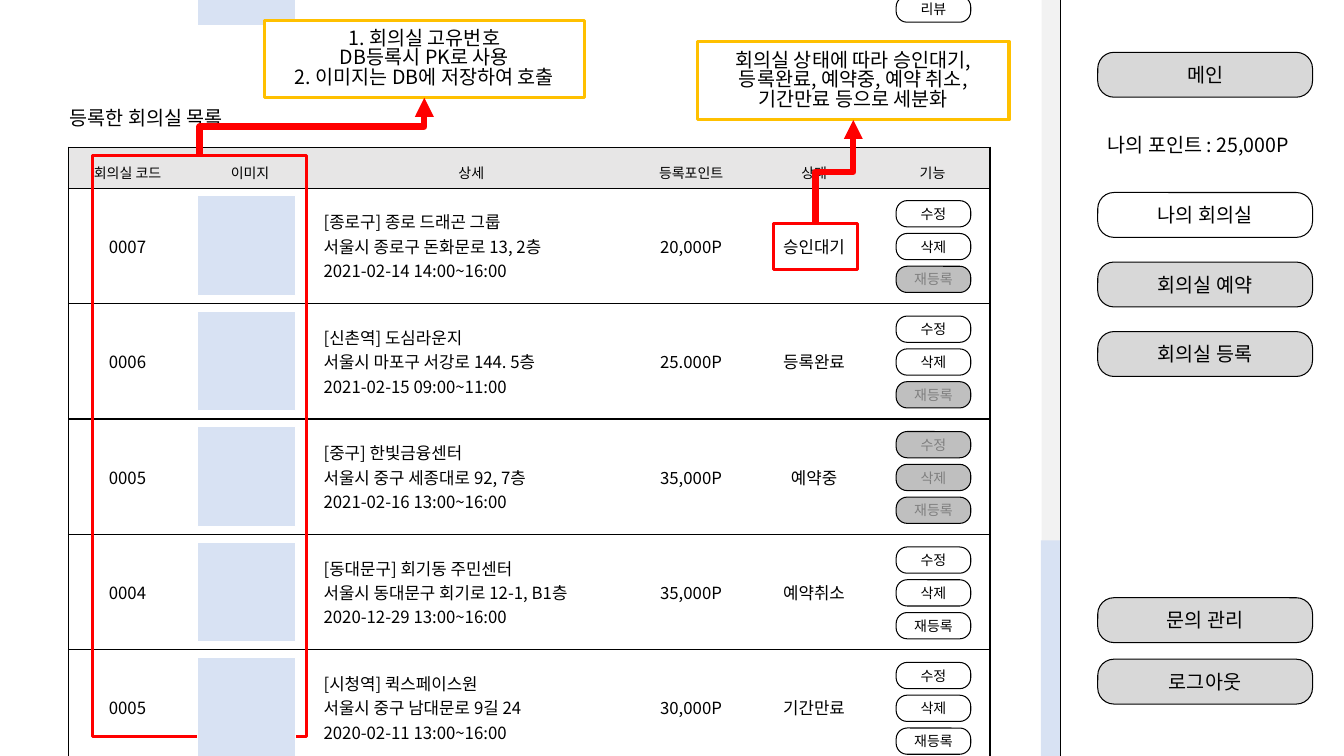
import dataclasses
import pptx
import pptx.dml.color
import pptx.enum.shapes
import pptx.enum.text
import pptx.oxml
import pptx.oxml.ns
import pptx.util

Shape = pptx.enum.shapes.MSO_SHAPE
Link = pptx.enum.shapes.MSO_CONNECTOR
Align = pptx.enum.text.PP_ALIGN
Anchor = pptx.enum.text.MSO_ANCHOR
WIDE, HIGH = pptx.util.Inches(13.333), pptx.util.Inches(7.5)


@dataclasses.dataclass(frozen=True)
class Theme:
    """Colours, fonts and type sizes of the slide."""
    black: str = "000000"
    white: str = "FFFFFF"
    menu: str = "D8D8D8"
    off: str = "BFBFBF"
    dim: str = "7F7F7F"
    pale: str = "D8E2F3"
    track: str = "F2F2F2"
    head: str = "E7E6E6"
    red: str = "FF0000"
    gold: str = "FFC000"
    font: str = "Noto Sans CJK KR"
    alt: str = "Arial"
    large: int = 14
    body: int = 12
    small: int = 10
    thin: float = 0.75
    thick: float = 2.25
    arrow: float = 4.5


LOOK = Theme()
PITCH = 15.27
COLS = [8.78, 9.45, 23.48, 9.23, 9.08, 8.55]
HEADS = ["회의실 코드", "이미지", "상세", "등록포인트", "상태", "기능"]
ACTS = ["수정", "삭제", "재등록"]
ROOMS = [
    ("0007", "[종로구] 종로 드래곤 그룹\n서울시 종로구 돈화문로 13, 2층\n2021-02-14 14:00~16:00",
     "20,000P", "승인대기", [1, 1, 0]),
    ("0006", "[신촌역] 도심라운지\n서울시 마포구 서강로 144. 5층\n2021-02-15 09:00~11:00",
     "25.000P", "등록완료", [1, 1, 0]),
    ("0005", "[중구] 한빛금융센터\n서울시 중구 세종대로 92, 7층\n2021-02-16 13:00~16:00",
     "35,000P", "예약중", [0, 0, 0]),
    ("0004", "[동대문구] 회기동 주민센터\n서울시 동대문구 회기로 12-1, B1층\n2020-12-29 13:00~16:00",
     "35,000P", "예약취소", [1, 1, 1]),
    ("0005", "[시청역] 퀵스페이스원\n서울시 중구 남대문로 9길 24\n2020-02-11 13:00~16:00",
     "30,000P", "기간만료", [1, 1, 1]),
]
MENU = [("메인", 6.93, LOOK.menu), ("나의 회의실", 25.47, LOOK.white),
        ("회의실 예약", 34.67, LOOK.menu), ("회의실 등록", 43.87, LOOK.menu),
        ("문의 관리", 79.07, LOOK.menu), ("로그아웃", 87.2, LOOK.menu)]


def hue(code):
    """Return the colour for a hex code."""
    return pptx.dml.color.RGBColor.from_string(code)


def across(share):
    """Return a percentage of the slide width."""
    return int(WIDE * share / 100)


def down(share):
    """Return a percentage of the slide height."""
    return int(HIGH * share / 100)


def place(x, y, w, h):
    """Return a rectangle given in percent of the slide."""
    return across(x), down(y), across(w), down(h)


def node(tag, **attrs):
    """Make a drawing element."""
    item = pptx.oxml.parse_xml(f"<a:{tag} {pptx.oxml.ns.nsdecls('a')}/>")
    for key, value in attrs.items():
        item.set(key, value)
    return item


def write(frame, text, size, align=Align.CENTER, color=LOOK.black, font=LOOK.font, space=None):
    """Fill a text frame with evenly styled paragraphs."""
    frame.text = text
    frame.word_wrap = True
    for para in frame.paragraphs:
        para.alignment = align
        para.line_spacing = space
        para.font.size = pptx.util.Pt(size)
        para.font.name = font
        para.font.color.rgb = hue(color)
        props = para._p.pPr.find(pptx.oxml.ns.qn("a:defRPr"))
        props.append(node("ea", typeface=LOOK.font))


def box(slide, area, fill=None, line=None, width=1, kind=Shape.RECTANGLE):
    """Draw a plain shape."""
    item = slide.shapes.add_shape(kind, *place(*area))
    item.shadow.inherit = False
    if fill:
        item.fill.solid()
        item.fill.fore_color.rgb = hue(fill)
    else:
        item.fill.background()
    if line:
        item.line.color.rgb = hue(line)
        item.line.width = pptx.util.Pt(width)
    else:
        item.line.fill.background()
    return item


def pill(slide, area, text, size, fill, color=LOOK.black, curve=0.42):
    """Draw a rounded button."""
    item = box(slide, area, fill, LOOK.black, LOOK.thin, Shape.ROUNDED_RECTANGLE)
    item.adjustments[0] = curve
    item.text_frame.vertical_anchor = Anchor.MIDDLE
    write(item.text_frame, text, size, color=color)


def act(slide, top, text, live=True):
    """Draw a small row button, greyed when not live."""
    fill, color = (LOOK.white, LOOK.black) if live else (LOOK.off, LOOK.dim)
    pill(slide, (66.68, top, 5.55, 3.47), text, LOOK.small, fill, color)


def photo(slide, top):
    """Draw the picture slot of a room."""
    box(slide, (14.7, top, 7.28, 13.2), LOOK.pale, LOOK.white)


def room(slide, index):
    """Draw the picture slot and buttons of one room."""
    top = 25.87 + PITCH * index
    photo(slide, top)
    for step, (text, live) in enumerate(zip(ACTS, ROOMS[index][-1])):
        act(slide, top + 0.67 + 4.34 * step, text, live)


def note(slide, area, text):
    """Draw a gold callout."""
    item = box(slide, area, LOOK.white, LOOK.gold, LOOK.thick)
    item.text_frame.vertical_anchor = Anchor.MIDDLE
    write(item.text_frame, text, LOOK.large, space=0.83)
    return item


def wire(slide, kind, ends, color, width):
    """Draw a connector without a shadow."""
    item = slide.shapes.add_connector(kind, *ends)
    item.line.color.rgb = hue(color)
    item.line.width = pptx.util.Pt(width)
    item._element.spPr.append(node("effectLst"))
    return item


def point(slide, start, goal):
    """Draw a bent arrow up from one box to another on its right."""
    x, y = start.left + start.width // 2, start.top
    run = goal.left + goal.width // 2 - x
    rise = y - goal.top - goal.height
    item = wire(slide, Link.ELBOW, (x, y, x + run, y - rise), LOOK.red, LOOK.arrow)
    item.begin_connect(start, 0)
    item.end_connect(goal, 2)
    frame = item._element.spPr.xfrm
    frame.attrib.pop("flipV", None)
    frame.set("rot", "16200000")
    item.left, item.top = x + (run - rise) // 2, y - (rise + run) // 2
    item.width, item.height = rise, run
    item.line._ln.append(node("tailEnd", type="triangle"))


def edge(cell, sides):
    """Draw the named cell borders and clear the others."""
    props = cell._tc.get_or_add_tcPr()
    for spot, side in enumerate("LRTB"):
        line = node("ln" + side, w="12700")
        paint = node("solidFill" if side in sides else "noFill")
        if side in sides:
            paint.append(node("srgbClr", val=LOOK.black))
        line.append(paint)
        props.insert(spot, line)


def table(slide):
    """Draw the list of rooms."""
    rows = [HEADS] + [(code, "", info, cost, state, "") for code, info, cost, state, _ in ROOMS]
    area = place(5.1, 19.47, sum(COLS), 5.43 + PITCH * len(ROOMS))
    grid = slide.shapes.add_table(len(rows), len(COLS), *area).table
    grid.first_row = grid.horz_banding = False
    for col, share in zip(grid.columns, COLS):
        col.width = across(share)
    for r, texts in enumerate(rows):
        grid.rows[r].height = down(PITCH if r else 5.43)
        for c, text in enumerate(texts):
            cell = grid.cell(r, c)
            cell.fill.solid()
            cell.fill.fore_color.rgb = hue(LOOK.white if r else LOOK.head)
            edge(cell, "TB" + {0: "L", len(COLS) - 1: "R"}.get(c, ""))
            if r == 0:
                write(cell.text_frame, text, LOOK.small, font=LOOK.alt, space=1.5)
            elif text:
                cell.vertical_anchor = Anchor.MIDDLE
                write(cell.text_frame, text, LOOK.body, Align.LEFT if c == 2 else Align.CENTER)


def main():
    """Build and save the slide."""
    deck = pptx.Presentation()
    deck.slide_width, deck.slide_height = WIDE, HIGH
    slide = deck.slides.add_slide(deck.slide_layouts[5])
    title = slide.shapes.title
    title.left, title.top, title.width, title.height = place(4.43, 13.33, 15.3, 4.53)
    title.text_frame.vertical_anchor = Anchor.TOP
    title.text_frame.auto_size = pptx.enum.text.MSO_AUTO_SIZE.NONE
    write(title.text_frame, "등록한 회의실 목록", LOOK.large, Align.LEFT)
    for text, top, fill in MENU:
        pill(slide, (81.68, top, 15.98, 5.93), text, LOOK.large, fill, curve=0.36)
    points = slide.shapes.add_textbox(*place(81.68, 16.93, 18.3, 4.53))
    write(points.text_frame, "나의 포인트 : 25,000P", LOOK.large, Align.LEFT)
    photo(slide, -9.73)
    act(slide, -0.53, "리뷰")
    box(slide, (77.5, 0, 1.4, 100), LOOK.track)
    box(slide, (77.45, 71.47, 1.45, 28.53), LOOK.pale)
    wire(slide, Link.STRAIGHT, (across(78.9), 0, across(78.9), HIGH), LOOK.black, LOOK.thin)
    table(slide)
    for index in range(len(ROOMS) - 1):
        room(slide, index)
    store = note(slide, (19.65, 2.67, 23.85, 10.27),
                 "1. 회의실 고유번호\nDB등록시 PK로 사용\n2. 이미지는 DB에 저장하여 호출")
    keys = box(slide, (6.9, 20.53, 15.9, 76.93), None, LOOK.red, LOOK.thick)
    point(slide, keys, store)
    state = box(slide, (57.53, 29.6, 6.3, 6), None, LOOK.red, LOOK.thick)
    stages = note(slide, (51.9, 5.47, 23.18, 10.4),
                  "회의실 상태에 따라 승인대기,등록완료, 예약중, 예약 취소, 기간만료 등으로 세분화")
    point(slide, state, stages)
    room(slide, len(ROOMS) - 1)
    deck.save("out.pptx")


if __name__ == "__main__":
    main()
